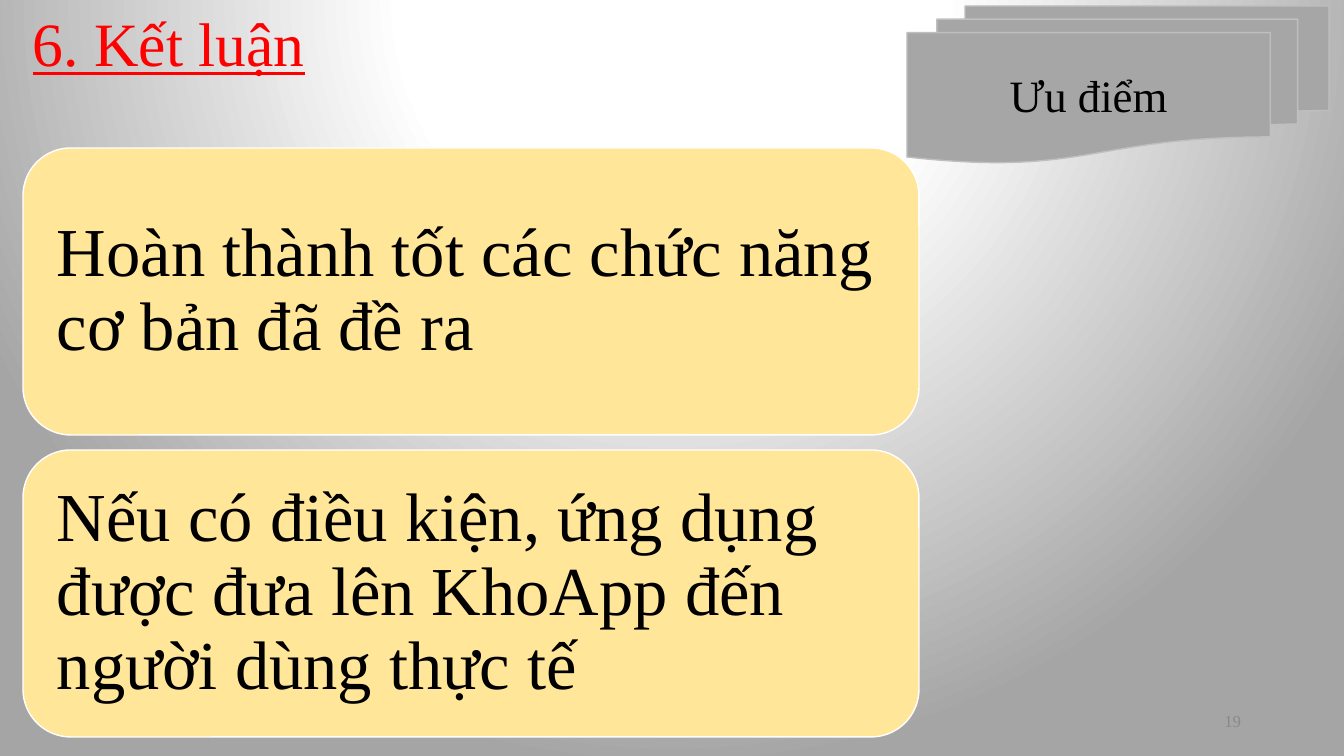
from lxml import etree
from pptx import Presentation
from pptx.dml.color import RGBColor as RGB
from pptx.enum.shapes import MSO_SHAPE as SHAPE
from pptx.enum.text import MSO_ANCHOR as ANCHOR, MSO_AUTO_SIZE as FIT, PP_ALIGN as ALIGN
from pptx.oxml import parse_xml
from pptx.oxml.ns import qn
from pptx.util import Pt

PX = 12192000 / 1344
FONT = "Times New Roman"
HUES = {
    "white": "FFFFFF", "shade": "A5A5A5", "card": "FFE699", "text": "000000",
    "title": "FF0000", "badge": "A6A6A6", "edge": "BFBFBF", "page": "898989",
}
CARDS = [
    "Hoàn thành tốt các chức năng cơ bản đã đề ra",
    "Nếu có điều kiện, ứng dụng được đưa lên KhoApp đến người dùng thực tế",
]


def px(*nums):
    return [round(n * PX) for n in nums]


def hue(name):
    return RGB.from_string(HUES[name])


def write(shape, text, size, color="text", align=ALIGN.LEFT, anchor=ANCHOR.MIDDLE,
          line=None, under=None, wrap=True, pad=None):
    frame = shape.text_frame
    frame.word_wrap = wrap
    frame.vertical_anchor = anchor
    if pad is not None:
        gap, = px(pad)
        frame.margin_left = frame.margin_right = gap
        frame.margin_top = frame.margin_bottom = gap
    para = frame.paragraphs[0]
    para.alignment = align
    para.line_spacing = line
    run = para.add_run()
    run.text = text
    font = run.font
    font.name, font.size, font.underline = FONT, Pt(size), under
    font.color.rgb = hue(color)
    return frame


def panel(slide, kind, box, fill, edge):
    shape = slide.shapes.add_shape(kind, *px(*box))
    shape.shadow.inherit = False
    shape.fill.solid()
    shape.fill.fore_color.rgb = hue(fill)
    shape.line.color.rgb = hue(edge)
    shape.line.width = Pt(1)
    return shape


def backdrop(slide):
    """Fill the background with a round glow centred above the slide."""
    fill = slide.background.fill
    fill.gradient()
    grad = slide.background._cSld.find(".//" + qn("a:gradFill"))
    for part in list(grad):
        grad.remove(part)
    space = 'xmlns:a="http://schemas.openxmlformats.org/drawingml/2006/main"'
    stops = etree.SubElement(grad, qn("a:gsLst"))
    for pos, name in [(0, "white"), (35, "white"), (100, "shade")]:
        stops.append(parse_xml(
            f'<a:gs {space} pos="{pos * 1000}"><a:srgbClr val="{HUES[name]}"/></a:gs>'))
    grad.append(parse_xml(
        f'<a:path {space} path="circle">'
        '<a:fillToRect l="50000" t="-80000" r="50000" b="180000"/></a:path>'))


def cards(slide, box, gap):
    left, top, width, height = box
    tall = (height - gap * (len(CARDS) - 1)) / len(CARDS)
    for i, text in enumerate(CARDS):
        spot = left, top + i * (tall + gap), width, tall
        card = panel(slide, SHAPE.ROUNDED_RECTANGLE, spot, "card", "white")
        write(card, text, 49, line=0.9, pad=20)


def title(slide, box):
    frame = write(slide.shapes.add_textbox(*px(*box)), "6. Kết luận", 44, "title",
                  anchor=ANCHOR.TOP, under=True, wrap=False)
    frame.auto_size = FIT.SHAPE_TO_FIT_TEXT


def badge(slide, box):
    shape = panel(slide, SHAPE.FLOWCHART_MULTIDOCUMENT, box, "badge", "edge")
    write(shape, "Ưu điểm", 32, align=ALIGN.CENTER)


def number(slide, box):
    write(slide.shapes.add_textbox(*px(*box)), "19", 12, "page", align=ALIGN.RIGHT)


def main():
    deck = Presentation()
    deck.slide_width, deck.slide_height = px(1344, 756)
    slide = deck.slides.add_slide(deck.slide_layouts[6])
    backdrop(slide)
    cards(slide, (23, 148, 896, 589), 15)
    title(slide, (23, 0, 295, 85))
    badge(slide, (907, 6, 422, 157))
    number(slide, (949, 701, 302, 40))
    deck.save("out.pptx")


if __name__ == "__main__":
    main()
